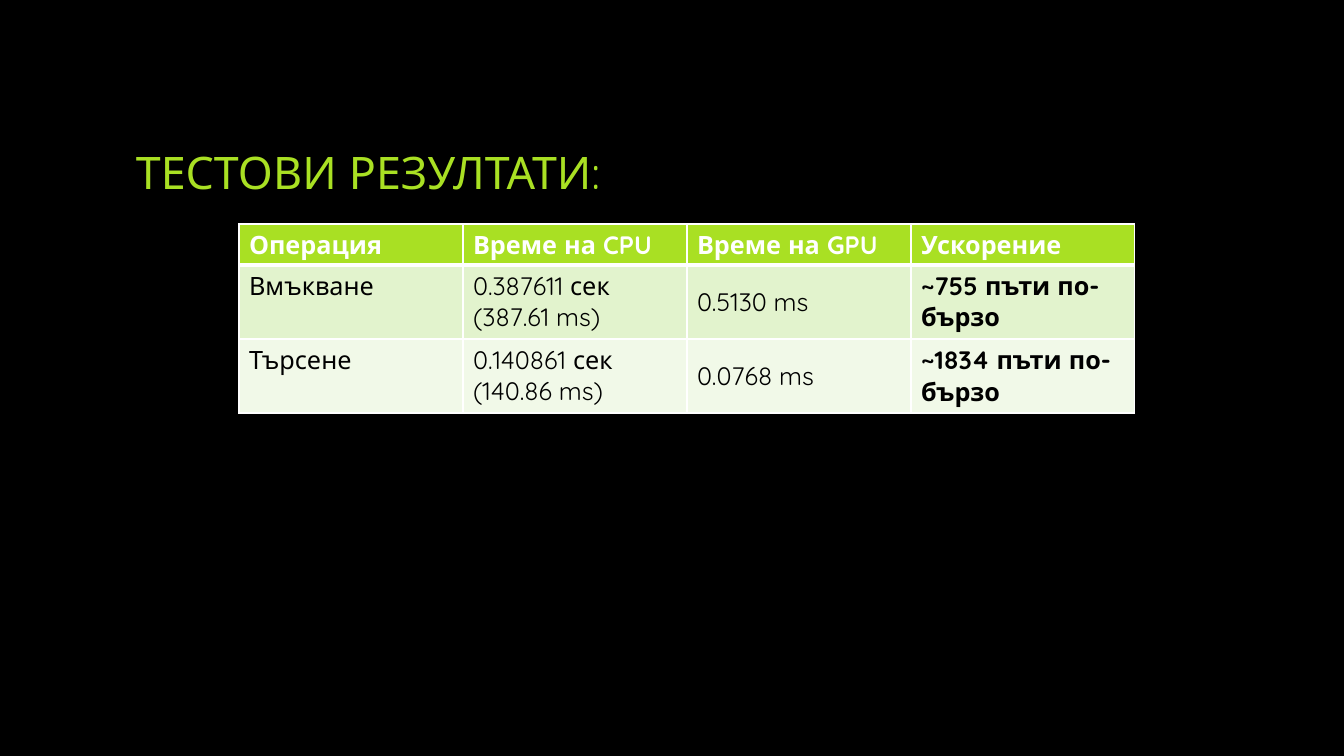
from pptx import Presentation
from pptx.dml.color import RGBColor as RGB
from pptx.enum.text import MSO_ANCHOR as Anchor
from pptx.util import Pt
from lxml.etree import SubElement as Sub
from pptx.oxml.ns import qn

BLACK = RGB(0x00, 0x00, 0x00)
WHITE = RGB(0xFF, 0xFF, 0xFF)
LIME = RGB(0xA9, 0xE0, 0x23)
PALE = RGB(0xE2, 0xF3, 0xCD)
MIST = RGB(0xF1, 0xF9, 0xE8)

ROWS = [
    ["Операция", "Време на CPU", "Време на GPU", "Ускорение"],
    ["Вмъкване", "0.387611 сек (387.61 ms)", "0.5130 ms", "~755 пъти по-бързо"],
    ["Търсене", "0.140861 сек (140.86 ms)", "0.0768 ms", "~1834 пъти по-бързо"],
]
FILLS = [LIME, PALE, MIST]
HEIGHTS = [41, 74, 74]
MIDDLE = {(0, 3), (1, 2), (2, 2), (2, 3)}


def px(num):
    return round(num * 914400 / 100.8)


class Deck:
    font = "Quicksand"

    def __init__(self, wide, high):
        self.prs = Presentation()
        self.prs.slide_width, self.prs.slide_height = px(wide), px(high)
        self.slide = self.prs.slides.add_slide(self.prs.slide_layouts[6])
        back = self.slide.background.fill
        back.solid()
        back.fore_color.rgb = BLACK

    def text(self, frame, words, size, color, bold=False):
        run = frame.paragraphs[0].add_run()
        run.text = words
        run.font.name = self.font
        run.font.size = Pt(size)
        run.font.bold = bold
        run.font.color.rgb = color

    def title(self, words, *box):
        frame = self.slide.shapes.add_textbox(*map(px, box)).text_frame
        frame.word_wrap = True
        frame.vertical_anchor = Anchor.MIDDLE
        self.text(frame, words, 32, LIME)

    def edge(self, cell, side, width):
        line = Sub(cell._tc.get_or_add_tcPr(), qn("a:ln" + side), w=str(Pt(width)))
        Sub(Sub(line, qn("a:solidFill")), qn("a:srgbClr"), val=str(WHITE))

    def cell(self, cell, row, col, words):
        head = row == 0
        for side in "LRTB":
            thick = (row, side) in {(0, "B"), (1, "T")}
            self.edge(cell, side, 3 if thick else 1)
        cell.fill.solid()
        cell.fill.fore_color.rgb = FILLS[row]
        cell.vertical_anchor = Anchor.MIDDLE if (row, col) in MIDDLE else Anchor.TOP
        self.text(cell.text_frame, words, 18, WHITE if head else BLACK, head or col == 3)

    def table(self, rows, left, top, width):
        cols = len(rows[0])
        box = map(px, (left, top, width, sum(HEIGHTS)))
        grid = self.slide.shapes.add_table(len(rows), cols, *box).table
        for col in grid.columns:
            col.width = px(width // cols)
        for row, line in enumerate(rows):
            grid.rows[row].height = px(HEIGHTS[row])
            for col, words in enumerate(line):
                self.cell(grid.cell(row, col), row, col, words)


def main():
    deck = Deck(1344, 756)
    deck.title("ТЕСТОВИ РЕЗУЛТАТИ:", 126, 67, 1092, 210)
    deck.table(ROWS, 239, 224, 896)
    deck.prs.save("out.pptx")


if __name__ == "__main__":
    main()
